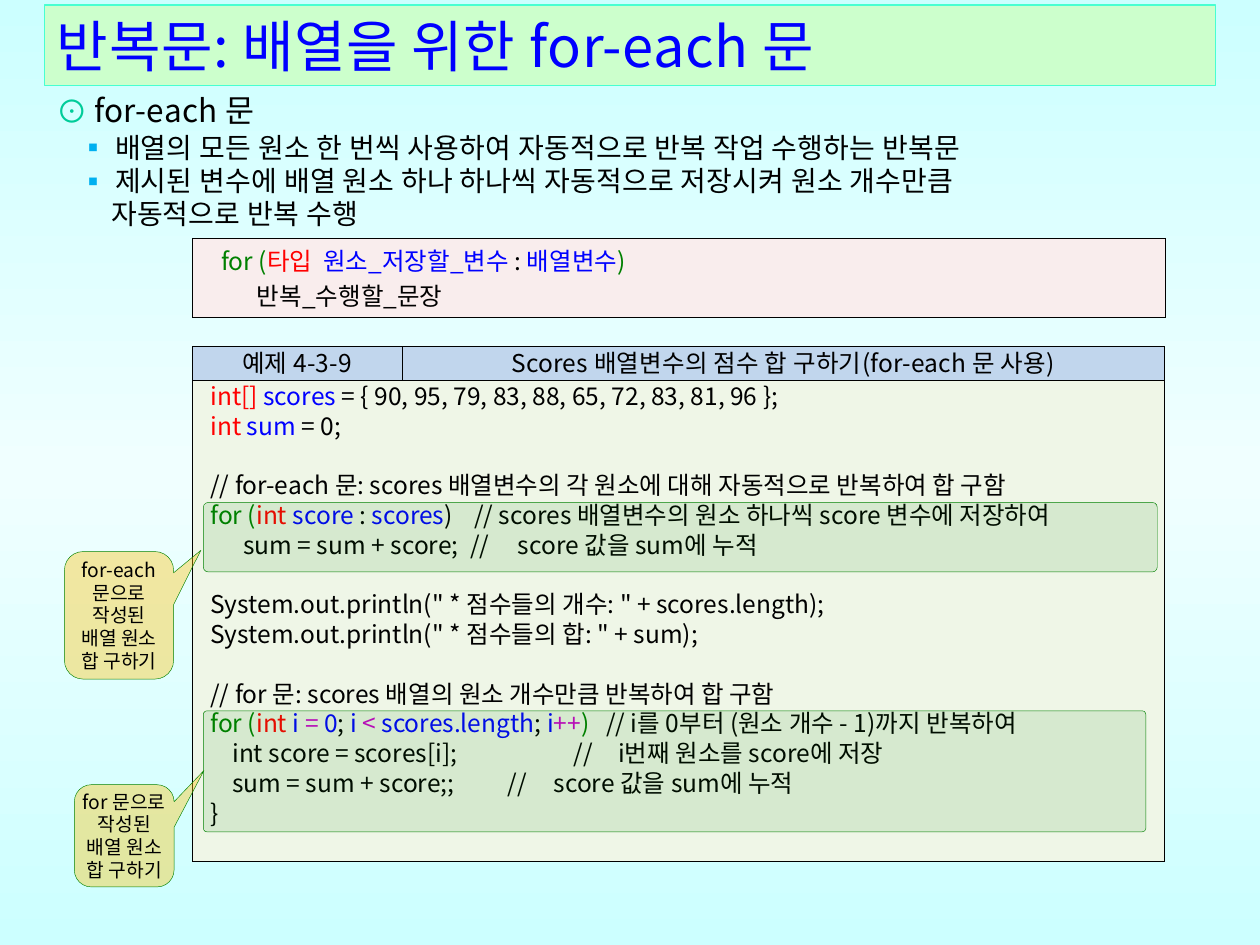
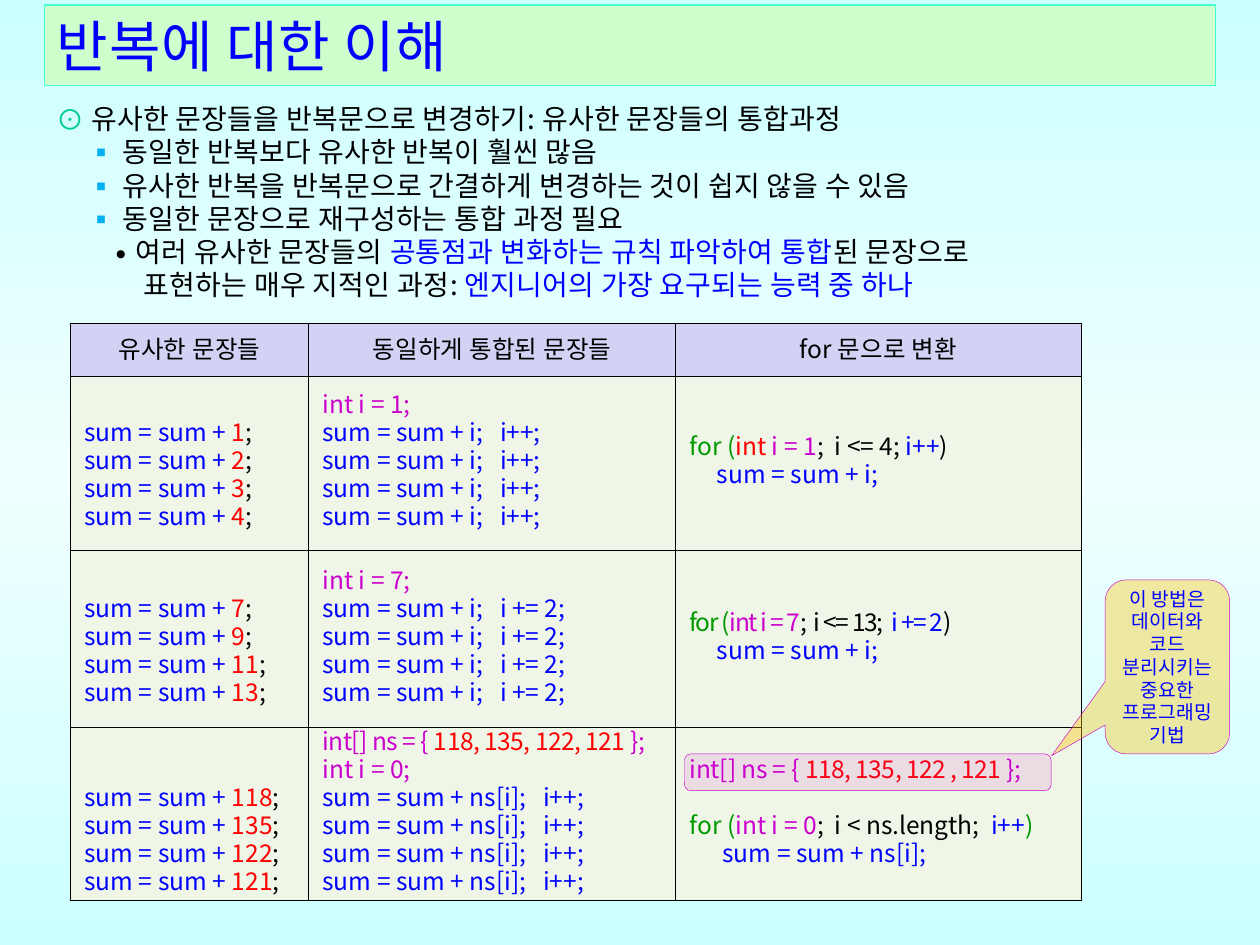
from copy import deepcopy

from lxml.etree import SubElement
from pptx import Presentation
from pptx.dml.color import RGBColor
from pptx.enum.shapes import MSO_SHAPE
from pptx.enum.text import MSO_ANCHOR, PP_ALIGN
from pptx.oxml.ns import qn
from pptx.util import Cm, Pt

FONT = "Noto Sans CJK KR"
BLACK, RED, BLUE, GREEN = "000000", "FF0000", "0000FF", "008000"
LEAF, MAGENTA, TEAL, SKY, AMBER = "009900", "CC00CC", "00CC99", "00B0F0", "FFC000"
CODE_FILL = "EFF6E7"
CENTER, MIDDLE, TOP = PP_ALIGN.CENTER, MSO_ANCHOR.MIDDLE, MSO_ANCHOR.TOP


def paint(fill, color):
    fill.solid()
    fill.fore_color.rgb = RGBColor.from_string(color)


def write(tf, paras, size=14, color=BLACK, align=None, leading=None, spacing=0):
    """Fill tf; a paragraph is a string or a list of strings, (text, colour[, spacing])
    runs and a dict of paragraph options (bullet, left, hang, tabs, before, size, leading)."""
    tf.word_wrap = True
    for i, para in enumerate(paras):
        p = tf.paragraphs[0] if i == 0 else tf.add_paragraph()
        parts = [para] if isinstance(para, (str, tuple)) else para
        opts = parts[0] if isinstance(parts[0], dict) else {}
        p.alignment = align
        p.line_spacing = Pt(opts.get("leading", leading))
        p.space_before = Pt(opts.get("before", 0))
        pPr = p._p.get_or_add_pPr()
        if "left" in opts:
            pPr.set("marL", str(Cm(opts["left"])))
            pPr.set("indent", str(-Cm(opts.get("hang", 0))))
        if "bullet" in opts:
            char, bullet_color = opts["bullet"]
            SubElement(SubElement(pPr, qn("a:buClr")), qn("a:srgbClr"), val=bullet_color)
            SubElement(pPr, qn("a:buFont"), typeface=FONT)
            SubElement(pPr, qn("a:buChar"), char=char)
        if "tabs" in opts:
            tabs = SubElement(pPr, qn("a:tabLst"))
            for pos in opts["tabs"]:
                SubElement(tabs, qn("a:tab"), pos=str(Cm(pos)), algn="l")
        for part in parts:
            if part is opts:
                continue
            text, *own = (part,) if isinstance(part, str) else part
            r = p.add_run()
            r.text = text
            r.font.size = Pt(opts.get("size", size))
            r.font.name = FONT
            paint(r.font.fill, own[0] if own else color)
            rPr = r._r.get_or_add_rPr()
            SubElement(rPr, qn("a:ea"), typeface=FONT)
            rPr.set("spc", str(round(100 * (own[1] if len(own) > 1 else spacing))))


prs = Presentation()
prs.slide_width, prs.slide_height = Cm(25.4), Cm(19.05)

# Shared background: pale cyan, lightest in the middle
bg = prs.slide_master.background.fill
bg.gradient()
bg.gradient_angle = 270
stops = prs.slide_master.element.find(".//" + qn("a:gsLst"))
stops.insert(1, deepcopy(stops[0]))
for stop, pos, color in zip(bg.gradient_stops, (0, 0.5, 1), ("CCFFFF", "F0FFFF", "CCFFFF")):
    stop.position = pos
    stop.color.rgb = RGBColor.from_string(color)

# Titles and outlines
foreach_points = [
    [{"bullet": ("⊙", TEAL), "left": 0.76, "hang": 0.76, "size": 18, "leading": 21}, "for-each 문"],
    [{"bullet": ("▪", SKY), "left": 1.18, "hang": 0.72, "before": 1},
     "배열의 모든 원소 한 번씩 사용하여 자동적으로 반복 작업 수행하는 반복문"],
    [{"bullet": ("▪", SKY), "left": 1.18, "hang": 0.72},
     "제시된 변수에 배열 원소 하나 하나씩 자동적으로 저장시켜 원소 개수만큼"],
    [{"left": 1.1}, "자동적으로 반복 수행"],
]
merging_points = [
    [{"bullet": ("⊙", TEAL), "left": 0.7, "hang": 0.7, "leading": 27},
     "유사한 문장들을 반복문으로 변경하기: 유사한 문장들의 통합과정"],
    *[[{"bullet": ("▪", SKY), "left": 1.34, "hang": 0.72}, text] for text in (
        "동일한 반복보다 유사한 반복이 훨씬 많음",
        "유사한 반복을 반복문으로 간결하게 변경하는 것이 쉽지 않을 수 있음",
        "동일한 문장으로 재구성하는 통합 과정 필요")],
    [{"bullet": ("∙", BLACK), "left": 1.6, "hang": 0.48}, "여러 유사한 문장들의 ",
     ("공통점과 변화하는 규칙 파악하여 통합", BLUE), "된 문장으로"],
    [{"left": 1.76}, "표현하는 매우 지적인 과정: ", ("엔지니어의 가장 요구되는 능력 중 하나", BLUE)],
]
slides = []
for title, points, top, height in (
        ("반복문: 배열을 위한 for-each 문", foreach_points, 1.73, 3.07),
        ("반복에 대한 이해", merging_points, 1.65, 4.65)):
    slide = prs.slides.add_slide(prs.slide_layouts[6])
    slides.append(slide)
    s = slide.shapes.add_shape(MSO_SHAPE.RECTANGLE, Cm(0.9), Cm(0.1), Cm(23.6), Cm(1.63))
    s.shadow.inherit = False
    paint(s.fill, "CCFFCC")
    paint(s.line.fill, "47FFD1")
    s.line.width = Pt(0.75)
    s.text_frame.vertical_anchor = MIDDLE
    write(s.text_frame, [title], size=32, color=BLUE, align=PP_ALIGN.LEFT, leading=38, spacing=0.3)
    s = slide.shapes.add_textbox(Cm(0.89), Cm(top), Cm(24), Cm(height))
    write(s.text_frame, points, size=16, leading=19, spacing=0.2)

# Table contents
syntax = [[
    [{"left": 0.4}, ("for (", GREEN), ("타입  ", RED), ("원소_저장할_변수 ", BLUE), ": ",
     ("배열변수", BLUE), (")", GREEN)],
    [{"left": 1.12}, "반복_수행할_문장"],
]]
scores_code = [[
    [("int[] ", RED), ("scores", BLUE), " = { 90, 95, 79, 83, 88, 65, 72, 83, 81, 96 };"],
    [("int ", RED), ("sum", BLUE), " = 0;"],
    [{"before": 17}, "// for-each 문: scores 배열변수의 각 원소에 대해 자동적으로 반복하여 합 구함"],
    [{"tabs": [5.32]}, ("for (", GREEN), ("int ", RED), ("score", BLUE), " : ", ("scores", BLUE),
     ")\t// scores 배열변수의 원소 하나씩 score 변수에 저장하여"],
    [{"tabs": [5.24, 6.2]}, "      sum = sum + score;\t//\tscore 값을 sum에 누적"],
    [{"before": 17}, 'System.out.println(" * 점수들의 개수: " + scores.length);'],
    'System.out.println(" * 점수들의 합: " + sum);',
    [{"before": 17}, "// for 문: scores 배열의 원소 개수만큼 반복하여 합 구함"],
    [{"tabs": [7.98]}, ("for (", GREEN), ("int ", RED), ("i ", BLUE), ("=", MAGENTA), (" 0", BLUE),
     ";", (" i ", BLUE), ("<", MAGENTA), (" scores.length", BLUE), ";", (" i", BLUE),
     ("++", MAGENTA), (")", GREEN), "\t// i를 0부터 (원소 개수 - 1)까지 반복하여"],
    [{"tabs": [7.32, 8.22]}, "    int score = scores[i];\t//\ti번째 원소를 score에 저장"],
    [{"tabs": [6, 6.92]}, "    sum = sum + score;;\t//\tscore 값을 sum에 누적"],
    "}",
]]
similar = [[[("sum = sum + ", BLUE), (str(n), RED), ";"] for n in numbers]
           for numbers in ((1, 2, 3, 4), (7, 9, 11, 13), (118, 135, 122, 121))]
unified = [
    head + [[{"tabs": [tab]}, (f"sum = sum + {term};\t{step};", BLUE)]] * 4
    for head, term, step, tab in (
        ([("int i = 1;", MAGENTA)], "i", "i++", 3.58),
        ([("int i = 7;", MAGENTA)], "i", "i += 2", 3.58),
        ([[("int[] ns = { ", MAGENTA, -0.3), ("118, 135, 122, 121 ", RED, -0.3),
           ("};", MAGENTA, -0.3)], ("int i = 0;", MAGENTA)], "ns[i]", "i++", 4.45))
]
loops = [
    [[("for (", LEAF), ("int", RED), (" i = 1", MAGENTA), ";  i <= 4; ", ("i++", BLUE), ")"],
     ("     sum = sum + i;", BLUE)],
    [[("for (", LEAF, -0.8), ("int i = 7", MAGENTA, -0.8), (";  i <= 13;  ", BLACK, -0.8),
      ("i += 2", BLUE, -0.8), (")", BLACK, -0.8)],
     ("     sum = sum + i;", BLUE)],
    [[("int[] ns = { ", MAGENTA, -0.1), ("118, 135, 122 , 121 ", RED, -0.3),
      ("};", MAGENTA, -0.1)],
     [{"before": 16}, ("for (", LEAF), ("int i = 0", MAGENTA), ";  i < ns.length;  ",
      ("i++", BLUE), (")", LEAF)],
     ("      sum = sum + ns[i];", BLUE)],
]
example_head = [["예제 4-3-9"], ["Scores 배열변수의 점수 합 구하기(for-each 문 사용)"]]
merging_head = [["유사한 문장들"], ["동일하게 통합된 문장들"], ["for 문으로 변환"]]

# Tables: a header row (if it has a fill) is centred, a short row is merged
for slide, left, top, cols, heights, head_fill, body_fill, leading, margin, anchor, rows in (
        (slides[0], 3.88, 4.8, [19.6], [1.6], None, "F9EDED", 20, 0.18, MIDDLE, [syntax]),
        (slides[0], 3.88, 6.98, [4.22, 15.37], [0.69, 9.7], "C1D6ED", CODE_FILL, 17, 0.36, TOP,
         [example_head, scores_code]),
        (slides[1], 1.42, 6.51, [4.8, 7.4, 8.18], [1.07, 3.51, 3.57, 3.49], "D2D2F4", CODE_FILL,
         16, 0.28, MIDDLE, [merging_head, *zip(similar, unified, loops)])):
    table = slide.shapes.add_table(len(rows), len(cols), Cm(left), Cm(top),
                                   Cm(sum(cols)), Cm(sum(heights))).table
    table.first_row = table.horz_banding = False
    for column, width in zip(table.columns, cols):
        column.width = Cm(width)
    for row, height in zip(table.rows, heights):
        row.height = Cm(height)
    for cell in table.iter_cells():
        tcPr = cell._tc.get_or_add_tcPr()
        for side in ("a:lnL", "a:lnR", "a:lnT", "a:lnB"):
            ln = SubElement(tcPr, qn(side), w=str(Pt(0.28)))
            SubElement(SubElement(ln, qn("a:solidFill")), qn("a:srgbClr"), val=BLACK)
    for i, row in enumerate(rows):
        is_head = bool(head_fill) and i == 0
        if len(row) < len(cols):
            table.cell(i, 0).merge(table.cell(i, len(cols) - 1))
        for j, paras in enumerate(row):
            cell = table.cell(i, j)
            paint(cell.fill, head_fill if is_head else body_fill)
            cell.vertical_anchor = MIDDLE if is_head else anchor
            cell.margin_left = Cm(0.18 if is_head else margin)
            cell.margin_right = Cm(0.18)
            cell.margin_top = cell.margin_bottom = Cm(0 if is_head else 0.05)
            write(cell.text_frame, paras, align=CENTER if is_head else PP_ALIGN.LEFT,
                  leading=19 if is_head else leading, spacing=0.1 if is_head else 0)

# The similar statements line up with the unified ones, below their declarations
for i, declarations in enumerate((1, 1, 2), start=1):
    table.cell(i, 0).margin_top = Cm(0.05 + 0.56 * declarations)

# Highlights over the code, and the callouts that point at them
BOX, CALLOUT = MSO_SHAPE.ROUNDED_RECTANGLE, MSO_SHAPE.ROUNDED_RECTANGULAR_CALLOUT
merging_note = ["이 방법은", "데이터와", "코드", "분리시키는", "중요한", "프로그래밍", "기법"]
for slide, kind, place, adjustments, fill, alpha, line, pad, note in (
        (slides[0], BOX, (4.1, 10.13, 19.23, 1.4), [0.07], GREEN, 10, GREEN, 0, []),
        (slides[0], CALLOUT, (1.3, 11.12, 2.2, 2.57), [0.75, -0.51, 0.17], AMBER, 37, GREEN, 0.2,
         ["for-each 문으로 작성된", "배열 원소 합 구하기"]),
        (slides[0], BOX, (4.1, 14.33, 19, 2.44), [0.03], GREEN, 10, GREEN, 0, []),
        (slides[0], CALLOUT, (1.5, 15.82, 2.01, 2.06), [0.8, -0.64, 0.17], AMBER, 37, GREEN, 0,
         ["for 문으로 작성된", "배열 원소 합 구하기"]),
        (slides[1], CALLOUT, (22.28, 11.69, 2.51, 3.51), [-0.93, 0.51, 0.17], AMBER, 37, MAGENTA,
         0, merging_note),
        (slides[1], BOX, (13.8, 15.2, 7.39, 0.74), [0.17], MAGENTA, 10, MAGENTA, 0, [])):
    s = slide.shapes.add_shape(kind, *map(Cm, place))
    s.shadow.inherit = False
    for i, value in enumerate(adjustments):
        s.adjustments[i] = value
    paint(s.fill, fill)
    SubElement(s.element.spPr.find(qn("a:solidFill"))[0], qn("a:alpha"), val=str(alpha * 1000))
    paint(s.line.fill, line)
    s.line.width = Pt(0.25)
    tf = s.text_frame
    tf.margin_left = tf.margin_right = Cm(pad)
    tf.margin_top = tf.margin_bottom = 0
    tf.vertical_anchor = MIDDLE
    write(tf, note, size=11, color=BLUE if slide is slides[1] else BLACK, align=CENTER, leading=13)

prs.save("out.pptx")
